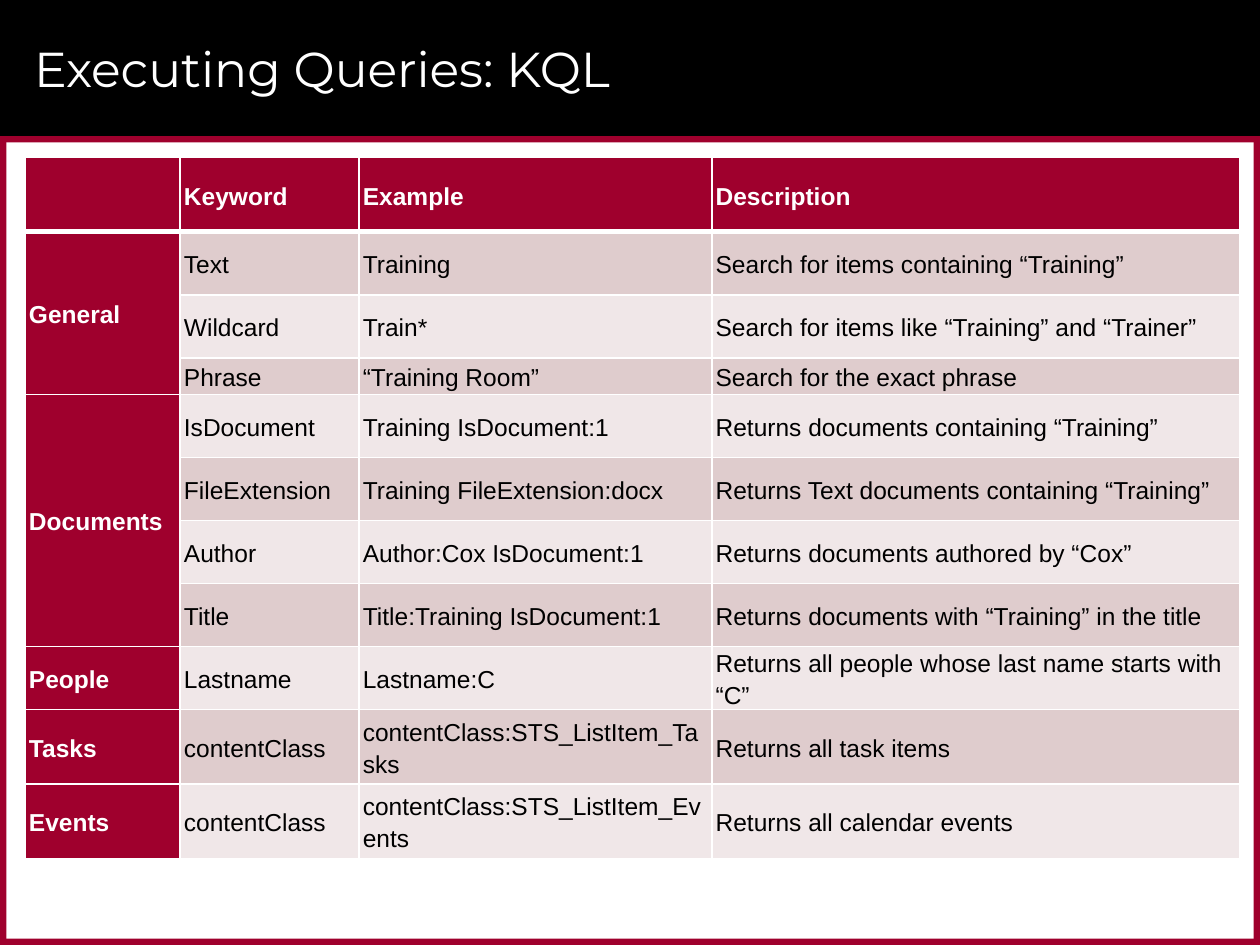
import dataclasses

import pptx
import pptx.dml.color
import pptx.enum.shapes
import pptx.enum.text
import pptx.oxml.ns
import pptx.util
from lxml import etree

Inches = pptx.util.Inches
Pt = pptx.util.Pt
RGBColor = pptx.dml.color.RGBColor
ANCHOR = pptx.enum.text.MSO_ANCHOR

BLACK = RGBColor(0x00, 0x00, 0x00)
WHITE = RGBColor(0xFF, 0xFF, 0xFF)
CRIMSON = RGBColor(0x9F, 0x00, 0x2D)
DARK_BAND = RGBColor(0xDF, 0xCC, 0xCD)
LIGHT_BAND = RGBColor(0xF0, 0xE7, 0xE8)

SLIDE_WIDTH, SLIDE_HEIGHT = 10, 7.5
HEADER_HEIGHT, EDGE = 1.08, 0.05
COLUMN_WIDTHS = (1.23, 1.42, 2.8, 4.19)
HEADINGS = ("", "Keyword", "Example", "Description")


@dataclasses.dataclass(frozen=True)
class Bar:
    left: float
    top: float
    width: float
    height: float
    color: RGBColor


@dataclasses.dataclass(frozen=True)
class Query:
    keyword: str
    example: str
    description: str
    height: float = 0.5


BARS = (
    Bar(0, 0, SLIDE_WIDTH, HEADER_HEIGHT, BLACK),
    Bar(0, HEADER_HEIGHT, SLIDE_WIDTH, EDGE, CRIMSON),
    Bar(0, SLIDE_HEIGHT - EDGE, SLIDE_WIDTH, EDGE, CRIMSON),
    Bar(SLIDE_WIDTH - EDGE, HEADER_HEIGHT, EDGE, SLIDE_HEIGHT - HEADER_HEIGHT, CRIMSON),
    Bar(0, HEADER_HEIGHT, EDGE, SLIDE_HEIGHT - HEADER_HEIGHT, CRIMSON),
)

CATEGORIES = {
    "General": (
        Query("Text", "Training", "Search for items containing “Training”"),
        Query("Wildcard", "Train*", "Search for items like “Training” and “Trainer”"),
        Query("Phrase", "“Training Room”", "Search for the exact phrase", 0.29),
    ),
    "Documents": (
        Query("IsDocument", "Training IsDocument:1",
              "Returns documents containing “Training”"),
        Query("FileExtension", "Training FileExtension:docx",
              "Returns Text documents containing “Training”"),
        Query("Author", "Author:Cox IsDocument:1", "Returns documents authored by “Cox”"),
        Query("Title", "Title:Training IsDocument:1",
              "Returns documents with “Training” in the title"),
    ),
    "People": (
        Query("Lastname", "Lastname:C",
              "Returns all people whose last name starts with “C”"),
    ),
    "Tasks": (
        Query("contentClass", "contentClass:STS_ListItem_Tasks",
              "Returns all task items", 0.59),
    ),
    "Events": (
        Query("contentClass", "contentClass:STS_ListItem_Events",
              "Returns all calendar events", 0.59),
    ),
}


def write_text(text_frame, text: str, *, size: float, font: str, color: RGBColor,
               bold: bool = False, line_spacing: float = 1.0) -> None:
    paragraph = text_frame.paragraphs[0]
    paragraph.alignment = pptx.enum.text.PP_ALIGN.LEFT
    paragraph.line_spacing = line_spacing
    run = paragraph.add_run()
    run.text = text
    run.font.size = Pt(size)
    run.font.name = font
    run.font.bold = bold
    run.font.color.rgb = color


def set_borders(cell, *, bottom: float = 1) -> None:
    properties = cell._tc.get_or_add_tcPr()
    qn = pptx.oxml.ns.qn
    for side, width in (("L", 1), ("R", 1), ("T", 1), ("B", bottom)):
        line = etree.SubElement(properties, qn(f"a:ln{side}"), w=str(Pt(width)))
        fill = etree.SubElement(line, qn("a:solidFill"))
        etree.SubElement(fill, qn("a:srgbClr"), val=str(WHITE))


def fill_cell(cell, text: str, fill: RGBColor, *, heading: bool = False,
              bottom: float = 1) -> None:
    set_borders(cell, bottom=bottom)
    cell.fill.solid()
    cell.fill.fore_color.rgb = fill
    cell.vertical_anchor = ANCHOR.MIDDLE
    cell.margin_left = cell.margin_right = Inches(0.03)
    cell.margin_top = cell.margin_bottom = 0
    write_text(cell.text_frame, text, size=14, font="Arial", bold=heading,
               color=WHITE if heading else BLACK, line_spacing=1.15)


def add_bar(slide, bar: Bar):
    shape = slide.shapes.add_shape(
        pptx.enum.shapes.MSO_SHAPE.RECTANGLE, Inches(bar.left), Inches(bar.top),
        Inches(bar.width), Inches(bar.height))
    shape.shadow.inherit = False
    shape.fill.solid()
    shape.fill.fore_color.rgb = bar.color
    shape.line.fill.background()
    return shape


def add_title(slide, text: str) -> None:
    title = slide.shapes.title
    title.left, title.top = Inches(0.17), Inches(0.08)
    title.width, title.height = Inches(9.42), Inches(0.92)
    title.text_frame.vertical_anchor = ANCHOR.MIDDLE
    write_text(title.text_frame, text, size=28, font="Montserrat", color=WHITE)


def add_query_table(slide) -> None:
    queries = [query for group in CATEGORIES.values() for query in group]
    heights = [0.59] + [query.height for query in queries]
    table = slide.shapes.add_table(
        len(heights), len(COLUMN_WIDTHS), Inches(0.2), Inches(1.25),
        Inches(sum(COLUMN_WIDTHS)), Inches(sum(heights))).table
    table.horz_banding = False
    for column, width in zip(table.columns, COLUMN_WIDTHS):
        column.width = Inches(width)
    for row, height in zip(table.rows, heights):
        row.height = Inches(height)

    # Column headings
    for column, heading in enumerate(HEADINGS):
        fill_cell(table.cell(0, column), heading, CRIMSON, heading=True, bottom=3)

    # Category cells span their queries; the other cells are banded
    row = 1
    for category, group in CATEGORIES.items():
        first = row
        for query in group:
            fill_cell(table.cell(row, 0), category if row == first else "",
                      CRIMSON, heading=True)
            band = DARK_BAND if row % 2 else LIGHT_BAND
            texts = (query.keyword, query.example, query.description)
            for column, text in enumerate(texts, start=1):
                fill_cell(table.cell(row, column), text, band)
            row += 1
        if len(group) > 1:
            table.cell(first, 0).merge(table.cell(row - 1, 0))


def main() -> None:
    presentation = pptx.Presentation()
    presentation.slide_width = Inches(SLIDE_WIDTH)
    presentation.slide_height = Inches(SLIDE_HEIGHT)
    slide = presentation.slides.add_slide(presentation.slide_layouts[5])

    # Header band and frame, kept behind the title
    for bar in BARS:
        slide.shapes.title.element.addprevious(add_bar(slide, bar).element)

    add_title(slide, "Executing Queries: KQL")
    add_query_table(slide)
    presentation.save("out.pptx")


if __name__ == "__main__":
    main()
